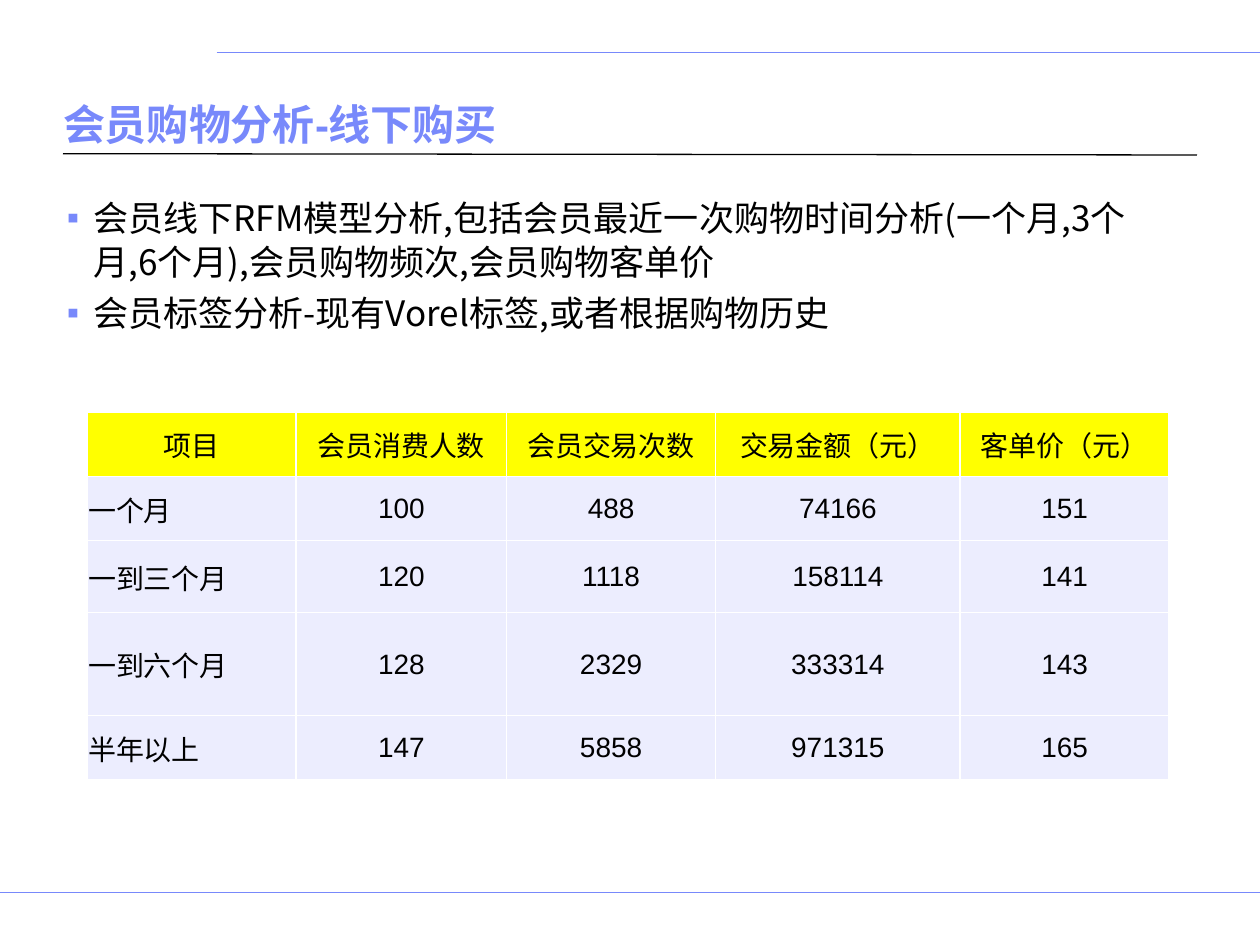
from lxml import etree
from pptx import Presentation
from pptx.dml.color import RGBColor
from pptx.enum.shapes import MSO_CONNECTOR
from pptx.enum.text import MSO_ANCHOR, MSO_AUTO_SIZE, PP_ALIGN
from pptx.oxml.ns import qn
from pptx.util import Inches, Pt

LINE = MSO_CONNECTOR.STRAIGHT
LEFT, CENTER = PP_ALIGN.LEFT, PP_ALIGN.CENTER
TOP, MIDDLE, BOTTOM = MSO_ANCHOR.TOP, MSO_ANCHOR.MIDDLE, MSO_ANCHOR.BOTTOM
FIXED = MSO_AUTO_SIZE.NONE

COLORS = {"accent": "7889FB", "ink": "000000", "head": "FFFF00",
          "cell": "ECEDFE", "edge": "FFFFFF"}
LATIN, HAN = "Arial", "Noto Sans CJK SC"

TITLE = "会员购物分析-线下购买"
POINTS = [
    "会员线下RFM模型分析,包括会员最近一次购物时间分析(一个月,3个月,6个月),会员购物频次,会员购物客单价",
    "会员标签分析-现有Vorel标签,或者根据购物历史",
]
ROWS = [
    ["项目", "会员消费人数", "会员交易次数", "交易金额（元）", "客单价（元）"],
    ["一个月", "100", "488", "74166", "151"],
    ["一到三个月", "120", "1118", "158114", "141"],
    ["一到六个月", "128", "2329", "333314", "143"],
    ["半年以上", "147", "5858", "971315", "165"],
]
WIDTHS = [1.66, 1.67, 1.66, 1.94, 1.66]
HEIGHTS = [0.51, 0.51, 0.57, 0.82, 0.51]
RULES = [
    ((1.72, 0.42), (10, 0.42), "accent", 0.5),
    ((0, 7.08), (10, 7.08), "accent", 0.5),
    ((0.5, 1.22), (9.5, 1.23), "ink", 0.75),
]


def color(name):
    return RGBColor.from_string(COLORS[name])


def apply(item, values):
    for name, value in values.items():
        setattr(item, name, value)


def write(para, text, size, shade, font=LATIN, bold=False):
    run = para.add_run()
    run.text = text
    apply(run.font, {"size": Pt(size), "name": font, "bold": bold})
    run.font.color.rgb = color(shade)
    east = etree.SubElement(run.font._element, qn("a:ea"))
    east.set("typeface", HAN)


def place(shape, box, anchor, side):
    sides = ("left", "top", "width", "height")
    apply(shape, dict(zip(sides, map(Inches, box))))
    apply(shape.text_frame, {
        "auto_size": FIXED, "word_wrap": True, "vertical_anchor": anchor,
        "margin_left": Inches(side), "margin_right": Inches(side),
        "margin_top": Inches(0.05), "margin_bottom": Inches(0.05)})


def add_rule(slide, start, end, shade, width):
    rule = slide.shapes.add_connector(LINE, *map(Inches, start + end))
    rule.line.color.rgb = color(shade)
    rule.line.width = Pt(width)
    etree.SubElement(rule._element.spPr, qn("a:effectLst"))


def add_title(slide, box):
    title = slide.shapes.title
    place(title, box, BOTTOM, 0)
    para = title.text_frame.paragraphs[0]
    para.alignment = LEFT
    write(para, TITLE, 24, "accent", bold=True)


def add_bullet(para):
    props = para._p.get_or_add_pPr()
    props.set("marL", str(Inches(0.21)))
    props.set("indent", str(-Inches(0.21)))
    tint = etree.SubElement(props, qn("a:buClr"))
    etree.SubElement(tint, qn("a:srgbClr")).set("val", COLORS["accent"])
    etree.SubElement(props, qn("a:buFont")).set("typeface", LATIN)
    etree.SubElement(props, qn("a:buChar")).set("char", "▪")


def add_points(slide, box):
    body = slide.placeholders[1]
    place(body, box, TOP, 0.05)
    frame = body.text_frame
    for index, text in enumerate(POINTS):
        para = frame.add_paragraph() if index else frame.paragraphs[0]
        apply(para, {"alignment": LEFT, "line_spacing": 1.04,
                     "space_before": Pt(4)})
        add_bullet(para)
        write(para, text, 20, "ink", HAN)


def add_edges(cell):
    props = cell._tc.get_or_add_tcPr()
    for index, tag in enumerate(("a:lnL", "a:lnR", "a:lnT", "a:lnB")):
        edge = etree.Element(qn(tag), w=str(Pt(1)))
        fill = etree.SubElement(edge, qn("a:solidFill"))
        etree.SubElement(fill, qn("a:srgbClr")).set("val", COLORS["edge"])
        props.insert(index, edge)


def add_grid(slide, box):
    frame = slide.shapes.add_table(len(ROWS), len(WIDTHS), *map(Inches, box))
    table = frame.table
    apply(table, {"first_row": False, "horz_banding": False})
    for column, width in zip(table.columns, WIDTHS):
        column.width = Inches(width)
    for row, height in zip(table.rows, HEIGHTS):
        row.height = Inches(height)
    for r, texts in enumerate(ROWS):
        for c, text in enumerate(texts):
            cell = table.cell(r, c)
            apply(cell, {
                "vertical_anchor": MIDDLE, "margin_left": Inches(0.01),
                "margin_right": Inches(0.01), "margin_top": Inches(0.01),
                "margin_bottom": 0})
            cell.fill.solid()
            cell.fill.fore_color.rgb = color("cell" if r else "head")
            add_edges(cell)
            para = cell.text_frame.paragraphs[0]
            para.alignment = LEFT if r and not c else CENTER
            write(para, text, 16, "ink")


def main():
    deck = Presentation()
    apply(deck, {"slide_width": Inches(10), "slide_height": Inches(7.5)})
    slide = deck.slides.add_slide(deck.slide_layouts[1])

    # Frame lines
    for rule in RULES:
        add_rule(slide, *rule)

    # Heading and bullet list
    add_title(slide, (0.5, 0.31, 9, 0.92))
    add_points(slide, (0.48, 1.5, 9, 5.19))

    # Purchase table
    add_grid(slide, (0.69, 3.27, sum(WIDTHS), sum(HEIGHTS)))

    deck.save("out.pptx")


if __name__ == "__main__":
    main()
